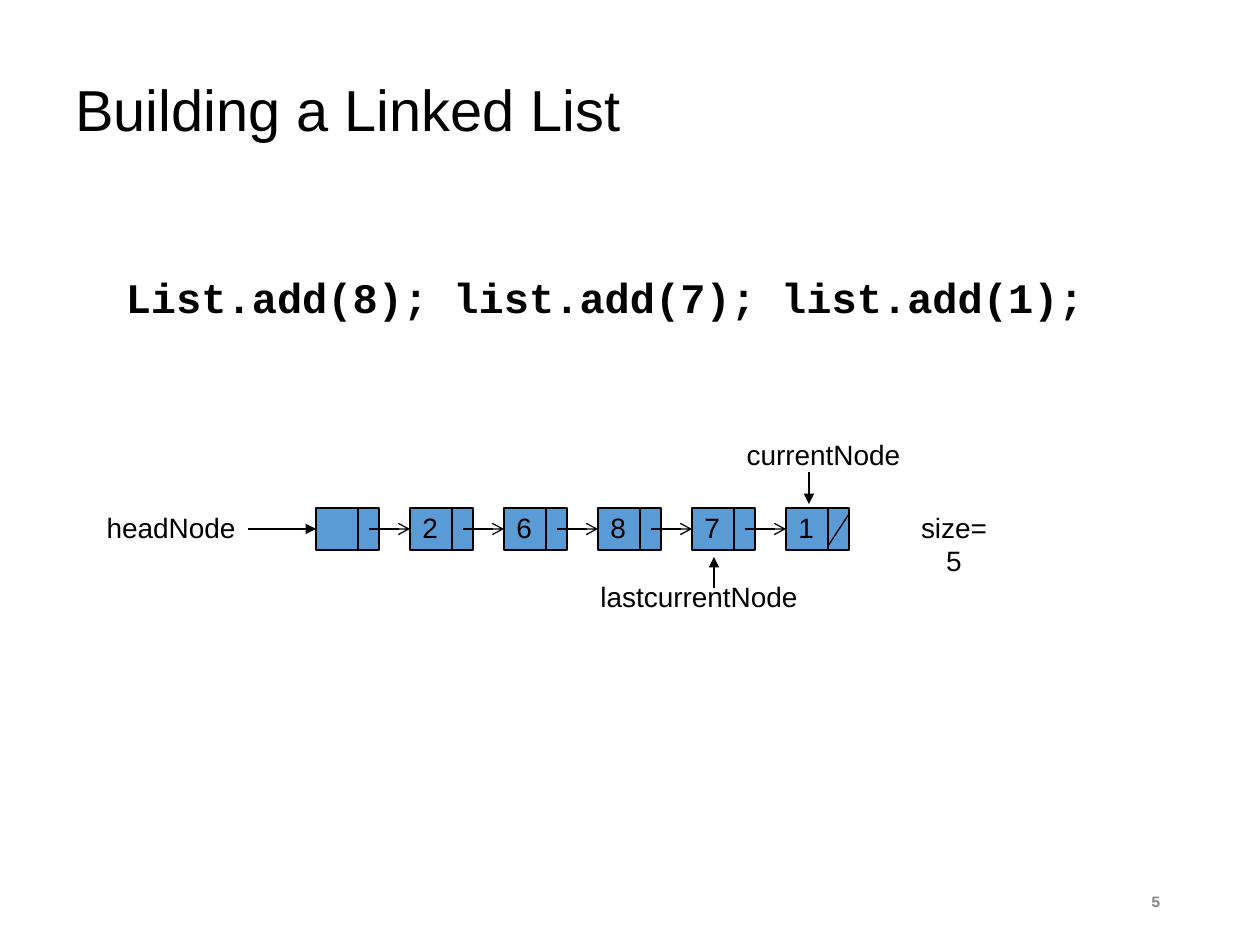
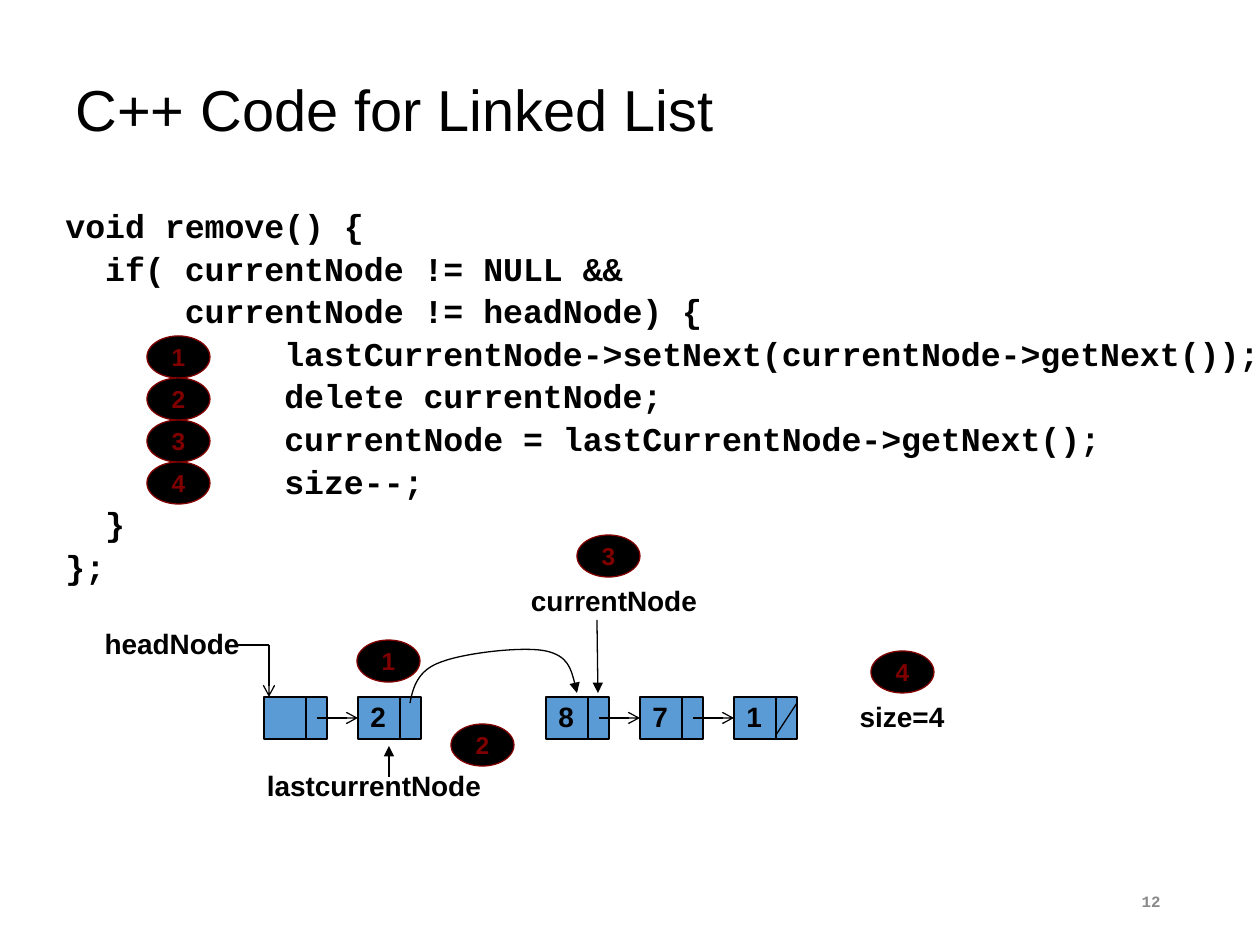
"""Builds two slides on linked lists: adding nodes and removing one."""
from dataclasses import dataclass

from lxml import etree
from pptx import Presentation
from pptx import util as u
from pptx.dml.color import RGBColor
from pptx.enum import shapes, text
from pptx.oxml import ns


@dataclass(frozen=True)
class Theme:
    ink: RGBColor = RGBColor(0, 0, 0)
    node: RGBColor = RGBColor(0x5B, 0x9B, 0xD5)
    marker: RGBColor = RGBColor(0x80, 0, 0)
    muted: RGBColor = RGBColor(0x89, 0x89, 0x89)
    sans: str = "Arial"
    mono: str = "Courier New"
    title: int = 33
    label: int = 16
    badge: int = 14
    number: int = 9
    stroke: float = 0.75


theme = Theme()
LEFT, CENTER, RIGHT = text.PP_ALIGN.LEFT, text.PP_ALIGN.CENTER, text.PP_ALIGN.RIGHT
PX = 914400 / 126
NODE_W, NODE_H, DATA_W, PITCH = 63, 42, 42, 94


def write(slide, box, lines, size, font=theme.sans, color=theme.ink, bold=False,
          align=LEFT, middle=False, wrap=True, leading=1.0, gap=0):
    """Add a text box holding one paragraph per line."""
    frame = slide.shapes.add_textbox(*(u.Emu(round(n * PX)) for n in box)).text_frame
    frame.word_wrap = wrap
    frame.vertical_anchor = text.MSO_ANCHOR.MIDDLE if middle else text.MSO_ANCHOR.TOP
    for i, line in enumerate(lines):
        paragraph = frame.paragraphs[0] if i == 0 else frame.add_paragraph()
        paragraph.alignment = align
        paragraph.line_spacing = leading
        if i:
            paragraph.space_before = u.Pt(gap)
        run = paragraph.add_run()
        run.text = line
        run.font.name, run.font.size, run.font.bold = font, u.Pt(size), bold
        run.font.color.rgb = color


def draw_line(slide, x1, y1, x2, y2, head=None):
    """Draw a thin line, with an arrowhead at its end if one is named."""
    ends = (u.Emu(round(n * PX)) for n in (x1, y1, x2, y2))
    line = slide.shapes.add_connector(shapes.MSO_CONNECTOR.STRAIGHT, *ends)
    line.line.color.rgb = theme.ink
    line.line.width = u.Pt(theme.stroke)
    if head:
        etree.SubElement(line.line._get_or_add_ln(), ns.qn("a:tailEnd"), type=head)
    etree.SubElement(line._element.spPr, ns.qn("a:effectLst"))


prs = Presentation()
prs.slide_width, prs.slide_height = u.Inches(10), u.Inches(7.5)
blank = prs.slide_layouts[6]
adding, removing = prs.slides.add_slide(blank), prs.slides.add_slide(blank)

for slide, title, number in ((adding, "Building a Linked List", "5"),
                             (removing, "C++ Code for Linked List", "12")):
    write(slide, (63, 50, 1134, 126), [title], theme.title, middle=True, leading=0.9)
    write(slide, (890, 876, 283, 50), [number], theme.number, theme.mono, theme.muted,
          bold=True, align=RIGHT, middle=True)

write(adding, (63, 275, 1134, 81), ["  List.add(8); list.add(7); list.add(1);"],
      24, theme.mono, bold=True, leading=0.8)
remove_code = [
    "void remove() {",
    "  if( currentNode != NULL &&",
    "      currentNode != headNode) {",
    "           lastCurrentNode->setNext(currentNode->getNext());",
    "           delete currentNode;",
    "           currentNode = lastCurrentNode->getNext();",
    "           size--;",
    "  }",
    "};",
]
write(removing, (53, 210, 1229, 388), remove_code, 19, theme.mono, bold=True,
      leading=0.7, gap=8.4)

chains = (
    (adding, 316, 508, ["", "2", "6", "8", "7", "1"], False),
    (removing, 264, 697, ["", "2", None, "8", "7", "1"], True),
)
for slide, left, top, values, bold in chains:
    for i, value in enumerate(values):
        if value is None:
            continue
        x, mid = left + i * PITCH, top + NODE_H // 2
        divider = x + DATA_W
        node = slide.shapes.add_shape(
            shapes.MSO_SHAPE.RECTANGLE,
            *(u.Emu(round(n * PX)) for n in (x, top, NODE_W, NODE_H)))
        node.shadow.inherit = False
        node.fill.solid()
        node.fill.fore_color.rgb = theme.node
        node.line.color.rgb = theme.ink
        node.line.width = u.Pt(theme.stroke)
        draw_line(slide, divider, top, divider, top + NODE_H)
        if value:
            write(slide, (x, top - 4, DATA_W, 47), [value], theme.label, bold=bold)
        if i == len(values) - 1:
            draw_line(slide, x + NODE_W, top + 6, divider, top + 38)
        elif values[i + 1] is not None:
            draw_line(slide, x + 53, mid, x + PITCH, mid, "arrow")

labels = (
    (adding, "headNode", 94, 504, 154),
    (adding, "currentNode", 734, 431, 179),
    (adding, "size=5", 901, 504, 106),
    (adding, "lastcurrentNode", 588, 573, 222),
    (removing, "headNode", 92, 620, 160),
    (removing, "currentNode", 518, 577, 192),
    (removing, "size=4", 847, 693, 110),
    (removing, "lastcurrentNode", 254, 762, 240),
)
for slide, name, x, y, width in labels:
    write(slide, (x, y, width, 47), [name], theme.label, bold=slide is removing,
          align=CENTER, wrap=False)

pointers = (
    (adding, 248, 529, 316, 529, "triangle"),
    (adding, 809, 472, 809, 504, "triangle"),
    (adding, 714, 588, 714, 557, "triangle"),
    (removing, 237, 645, 269, 645, None),
    (removing, 269, 645, 269, 697, "arrow"),
    (removing, 597, 620, 598, 693, "triangle"),
    (removing, 389, 777, 389, 746, "triangle"),
)
for pointer in pointers:
    draw_line(*pointer)

bypass_points = [(413, 687), (418, 670), (441, 662), (464, 653), (523, 646),
                 (546, 651), (568, 656), (573, 674), (577, 693)]
builder = removing.shapes.build_freeform(410, 703, scale=PX)
builder.add_line_segments(bypass_points, close=False)
bypass = builder.convert_to_shape()
bypass.shadow.inherit = False
bypass.fill.background()
bypass.line.color.rgb = theme.ink
bypass.line.width = u.Pt(theme.stroke)
etree.SubElement(bypass.line._get_or_add_ln(), ns.qn("a:tailEnd"), type="triangle")
segments = list(bypass._element.iter(ns.qn("a:lnTo")))
for start in range(0, len(segments), 3):
    curve = etree.Element(ns.qn("a:cubicBezTo"))
    segments[start].addprevious(curve)
    for segment in segments[start:start + 3]:
        curve.append(segment[0])
        segment.getparent().remove(segment)

code_steps = [(str(i + 1), 147, 336 + i * NODE_H) for i in range(4)]
diagram_steps = [("1", 357, 640), ("2", 451, 724), ("3", 577, 535), ("4", 871, 651)]
for step, x, y in code_steps + diagram_steps:
    badge = removing.shapes.add_shape(
        shapes.MSO_SHAPE.OVAL, *(u.Emu(round(n * PX)) for n in (x, y, NODE_W, NODE_H)))
    badge.shadow.inherit = False
    badge.fill.solid()
    badge.fill.fore_color.rgb = theme.ink
    badge.line.color.rgb = theme.marker
    badge.line.width = u.Pt(theme.stroke)
    frame = badge.text_frame
    frame.margin_left = frame.margin_right = frame.margin_top = frame.margin_bottom = 0
    frame.vertical_anchor = text.MSO_ANCHOR.MIDDLE
    frame.paragraphs[0].alignment = CENTER
    run = frame.paragraphs[0].add_run()
    run.text = step
    run.font.name, run.font.size, run.font.bold = theme.sans, u.Pt(theme.badge), True
    run.font.color.rgb = theme.marker

prs.save("out.pptx")
